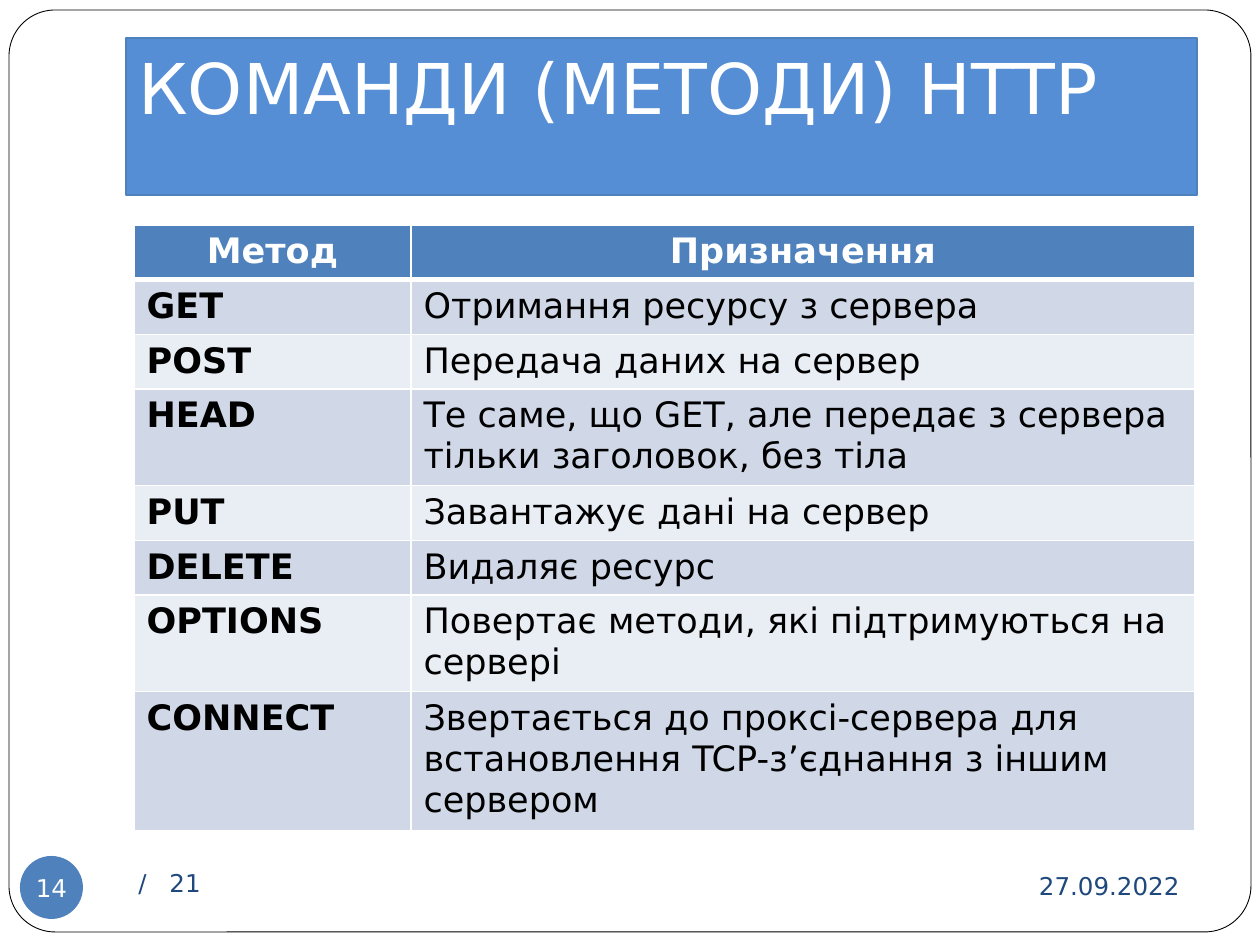
from lxml.etree import SubElement
from pptx import Presentation
from pptx.dml.color import RGBColor
from pptx.enum.shapes import MSO_SHAPE
from pptx.enum.text import MSO_ANCHOR, PP_ALIGN
from pptx.oxml.ns import qn
from pptx.util import Emu, Pt

PX = 914400 / 126
FONT = "DejaVu Sans"
COLORS = {key: RGBColor.from_string(value) for key, value in {
    "white": "FFFFFF", "black": "000000", "title": "558ED5", "accent": "4F81BD",
    "footer": "1F497D", "band_dark": "D0D8E8", "band_light": "E9EDF4",
}.items()}


def px(*lengths):
    return [Emu(round(length * PX)) for length in lengths]


def write(frame, text, size, color, align=PP_ALIGN.LEFT, bold=False):
    frame.word_wrap = True
    paragraph = frame.paragraphs[0]
    paragraph.text = text
    paragraph.alignment = align
    for run in paragraph.runs:
        run.font.name = FONT
        run.font.size = Pt(size)
        run.font.bold = bold
        run.font.color.rgb = COLORS[color]


presentation = Presentation()
presentation.slide_width, presentation.slide_height = px(1260, 945)
slide = presentation.slides.add_slide(presentation.slide_layouts[6])
shapes = slide.shapes

# Rounded page frame
frame = shapes.add_shape(MSO_SHAPE.ROUNDED_RECTANGLE, *px(9, 10, 1242, 922))
frame.adjustments[0] = 0.05
frame.shadow.inherit = False
frame.fill.solid()
frame.fill.fore_color.rgb = COLORS["white"]
frame.line.color.rgb = COLORS["black"]
frame.line.width = Pt(0.5)

# Title banner
title = shapes.add_shape(MSO_SHAPE.RECTANGLE, *px(126, 38, 1071, 157))
title.shadow.inherit = False
title.fill.solid()
title.fill.fore_color.rgb = COLORS["title"]
title.line.color.rgb = COLORS["accent"]
title.line.width = Pt(0.75)
title.text_frame.vertical_anchor = MSO_ANCHOR.TOP
write(title.text_frame, "КОМАНДИ (МЕТОДИ) HTTP", 40, "white")

# Footer: date and page total
date = shapes.add_textbox(*px(851, 853, 341, 66)).text_frame
date.vertical_anchor = MSO_ANCHOR.MIDDLE
write(date, "27.09.2022", 14, "footer", PP_ALIGN.RIGHT)

total = shapes.add_textbox(*px(126, 851, 546, 63)).text_frame
total.vertical_anchor = MSO_ANCHOR.MIDDLE
tab_stops = SubElement(total.paragraphs[0]._p.get_or_add_pPr(), qn("a:tabLst"))
SubElement(tab_stops, qn("a:tab"), pos=str(px(31)[0]), algn="l")
write(total, "/\t21", 14, "footer")

# Table of methods
METHODS = [
    ("Метод", "Призначення"),
    ("GET", "Отримання ресурсу з сервера"),
    ("POST", "Передача даних на сервер"),
    ("HEAD", "Те саме, що GET, але передає з сервера тільки заголовок, без тіла"),
    ("PUT", "Завантажує дані на сервер"),
    ("DELETE", "Видаляє ресурс"),
    ("OPTIONS", "Повертає методи, які підтримуються на сервері"),
    ("CONNECT", "Звертається до проксі-сервера для встановлення TCP-з’єднання з іншим сервером"),
]
ROW_HEIGHTS = px(53, 53, 53, 94, 53, 53, 94, 134)
COLUMN_WIDTHS = px(277, 784)

methods = shapes.add_table(len(METHODS), 2, *px(134, 225), sum(COLUMN_WIDTHS), sum(ROW_HEIGHTS)).table
for column, width in zip(methods.columns, COLUMN_WIDTHS):
    column.width = width
for r, (row, height) in enumerate(zip(METHODS, ROW_HEIGHTS)):
    methods.rows[r].height = height
    header = r == 0
    band = "accent" if header else "band_dark" if r % 2 else "band_light"
    for c, text in enumerate(row):
        cell = methods.cell(r, c)
        write(cell.text_frame, text, 20, "white" if header else "black",
              PP_ALIGN.CENTER if header else PP_ALIGN.LEFT, bold=header or c == 0)
        # White borders, thicker between the header and the body
        for side in ("lnL", "lnR", "lnT", "lnB"):
            thick = (r, side) in ((0, "lnB"), (1, "lnT"))
            border = SubElement(cell._tc.get_or_add_tcPr(), qn(f"a:{side}"), w=str(Pt(3 if thick else 1)))
            border_fill = SubElement(border, qn("a:solidFill"))
            SubElement(border_fill, qn("a:srgbClr"), val=str(COLORS["white"]))
        cell.fill.solid()
        cell.fill.fore_color.rgb = COLORS[band]

# Page number badge
badge = shapes.add_shape(MSO_SHAPE.OVAL, *px(20, 856, 63, 63))
badge.shadow.inherit = False
badge.fill.solid()
badge.fill.fore_color.rgb = COLORS["accent"]
badge.line.fill.background()
number = badge.text_frame
number.margin_left = number.margin_right = number.margin_top = number.margin_bottom = 0
number.vertical_anchor = MSO_ANCHOR.MIDDLE
write(number, "14", 14, "white", PP_ALIGN.CENTER)
number.word_wrap = False

presentation.save("out.pptx")
